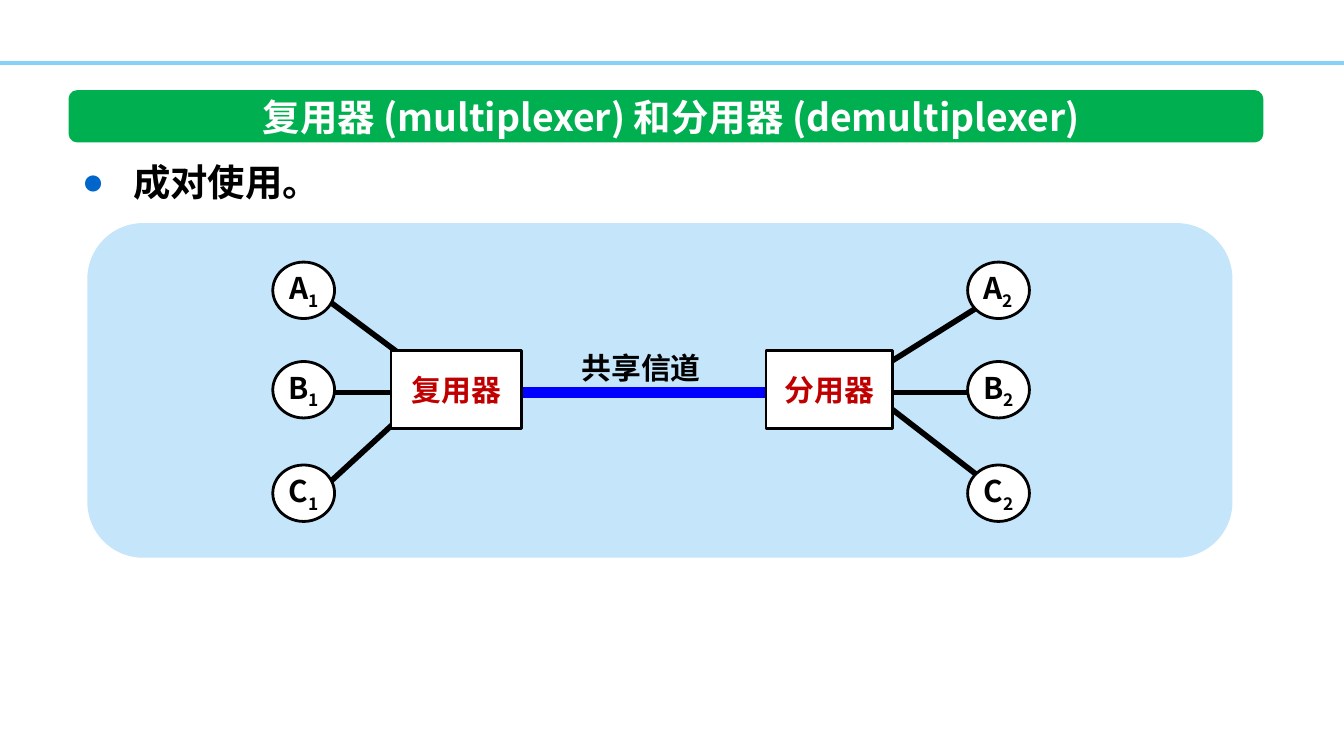
"""Build a slide that shows a multiplexer and a demultiplexer sharing one channel."""
from dataclasses import dataclass

from lxml import etree
from pptx import Presentation
from pptx.dml.color import RGBColor
from pptx.enum.shapes import MSO_CONNECTOR, MSO_SHAPE
from pptx.enum.text import MSO_ANCHOR, MSO_AUTO_SIZE, PP_ALIGN
from pptx.oxml.ns import qn
from pptx.shapes.autoshape import Shape
from pptx.slide import Slide
from pptx.text.text import TextFrame
from pptx.util import Inches, Pt

STRAIGHT = MSO_CONNECTOR.STRAIGHT
RECTANGLE, ROUNDED, OVAL = MSO_SHAPE.RECTANGLE, MSO_SHAPE.ROUNDED_RECTANGLE, MSO_SHAPE.OVAL
TOP, MIDDLE = MSO_ANCHOR.TOP, MSO_ANCHOR.MIDDLE
LEFT, CENTER = PP_ALIGN.LEFT, PP_ALIGN.CENTER
NO_AUTOFIT, GROW = MSO_AUTO_SIZE.NONE, MSO_AUTO_SIZE.SHAPE_TO_FIT_TEXT


@dataclass(frozen=True)
class Theme:
    """Colours, font and sizes of the slide."""
    font: str = "Noto Sans CJK SC"
    bullet_font: str = "Arial"
    heading_size: int = 20
    label_size: int = 16
    rule: str = "85D1F7"
    banner: str = "00B050"
    panel: str = "C5E5FB"
    bullet: str = "0066CC"
    channel: str = "0000FF"
    device: str = "C00000"
    black: str = "000000"
    white: str = "FFFFFF"


@dataclass(frozen=True)
class Box:
    """Place and size in inches."""
    left: float
    top: float
    width: float
    height: float

    def lengths(self) -> tuple[Inches, ...]:
        """Return the four values as lengths."""
        return tuple(Inches(value) for value in (self.left, self.top, self.width, self.height))


@dataclass(frozen=True)
class Line:
    """Straight line between two points in inches."""
    start: tuple[float, float]
    end: tuple[float, float]
    color: str
    width: float


@dataclass(frozen=True)
class Device:
    """Multiplexing device with its label."""
    name: str
    box: Box


@dataclass(frozen=True)
class Station:
    """Terminal row with its letter and top edge."""
    letter: str
    top: float


THEME = Theme()
SLIDE_WIDTH = 10
SLIDE_HEIGHT = SLIDE_WIDTH * 9 / 16
BANNER = Box(0.51, 0.67, 8.89, 0.39)
TITLE = Box(1.37, 0.67, 7.25, 0.39)
BODY = Box(0.51, 1.05, 8.89, 3.69)
PANEL = Box(0.65, 1.66, 8.52, 2.49)
CHANNEL_LABEL = Box(4.23, 2.55, 1.1, 0.37)
RULE = Line((0, 0.47), (SLIDE_WIDTH, 0.47), THEME.rule, 2)
LINKS = (
    Line((2.42, 2.92), (7.52, 2.92), THEME.black, 3),
    Line((3.63, 2.92), (6.09, 2.92), THEME.channel, 6),
    Line((6.63, 3.04), (7.38, 3.62), THEME.black, 3),
    Line((7.38, 2.22), (6.63, 2.69), THEME.black, 3),
    Line((2.42, 3.62), (3.05, 3.04), THEME.black, 3),
    Line((2.42, 2.22), (3.05, 2.69), THEME.black, 3),
)
STATIONS = (Station("A", 1.95), Station("B", 2.69), Station("C", 3.46))
STATION_LEFTS = {"1": 2.03, "2": 7.2}
DEVICES = (
    Device("复用器", Box(2.91, 2.61, 0.97, 0.58)),
    Device("分用器", Box(5.7, 2.61, 0.94, 0.58)),
)


def write_text(frame: TextFrame, text: str, *, subscript: str = "", size: int = THEME.label_size,
               color: str = THEME.black, align: PP_ALIGN = CENTER, anchor: MSO_ANCHOR = MIDDLE,
               wrap: bool = False, auto_size: MSO_AUTO_SIZE = NO_AUTOFIT) -> None:
    """Write one bold paragraph with an optional subscript."""
    frame.word_wrap = wrap
    frame.auto_size = auto_size
    frame.vertical_anchor = anchor
    paragraph = frame.paragraphs[0]
    paragraph.alignment = align
    paragraph.space_before = Pt(0)
    for content, baseline in ((text, 0), (subscript, -25000)):
        if not content:
            continue
        run = paragraph.add_run()
        run.text = content
        run.font.size = Pt(size)
        run.font.bold = True
        run.font.color.rgb = RGBColor.from_string(color)
        run.font.name = THEME.font
        properties = run._r.get_or_add_rPr()
        etree.SubElement(properties, qn("a:ea"), typeface=THEME.font)
        if baseline:
            properties.set("baseline", str(baseline))


def add_bullet(frame: TextFrame) -> None:
    """Give the first paragraph a coloured round bullet and a hanging indent."""
    properties = frame.paragraphs[0]._p.get_or_add_pPr()
    properties.set("marL", str(Inches(0.38)))
    properties.set("indent", str(Inches(-0.38)))
    color = etree.SubElement(properties, qn("a:buClr"))
    etree.SubElement(color, qn("a:srgbClr"), val=THEME.bullet)
    etree.SubElement(properties, qn("a:buFont"), typeface=THEME.bullet_font)
    etree.SubElement(properties, qn("a:buChar"), char="●")


def add_filled_shape(slide: Slide, kind: MSO_SHAPE, box: Box, fill: str, outline: str = "") -> Shape:
    """Add a flat shape with an optional outline."""
    shape = slide.shapes.add_shape(kind, *box.lengths())
    shape.shadow.inherit = False
    shape.fill.solid()
    shape.fill.fore_color.rgb = RGBColor.from_string(fill)
    if outline:
        shape.line.color.rgb = RGBColor.from_string(outline)
        shape.line.width = Pt(1.5)
    else:
        shape.line.fill.background()
    return shape


def add_line(slide: Slide, line: Line) -> None:
    """Add a straight line without a shadow."""
    points = (Inches(value) for value in (*line.start, *line.end))
    connector = slide.shapes.add_connector(STRAIGHT, *points)
    connector.line.color.rgb = RGBColor.from_string(line.color)
    connector.line.width = Pt(line.width)
    etree.SubElement(connector.element.spPr, qn("a:effectLst"))


def place(shape: Shape, box: Box) -> None:
    """Move a placeholder to a box and bring it to the front."""
    shape.left, shape.top, shape.width, shape.height = box.lengths()
    shape.element.getparent().append(shape.element)


def add_headings(slide: Slide) -> None:
    """Draw the banner and panel, with the title and list above them."""
    add_line(slide, RULE)
    add_filled_shape(slide, ROUNDED, BANNER, THEME.banner)
    add_filled_shape(slide, ROUNDED, PANEL, THEME.panel)
    title, body = slide.shapes.title, slide.placeholders[1]
    place(body, BODY)
    add_bullet(body.text_frame)
    write_text(body.text_frame, "成对使用。", size=THEME.heading_size, align=LEFT, anchor=TOP, wrap=True)
    body.text_frame.paragraphs[0].line_spacing = Pt(30)
    place(title, TITLE)
    write_text(title.text_frame, "复用器 (multiplexer) 和分用器 (demultiplexer)",
               size=THEME.heading_size, color=THEME.white, wrap=True)


def add_diagram(slide: Slide) -> None:
    """Draw the links, stations and devices."""
    for link in LINKS:
        add_line(slide, link)
    label = slide.shapes.add_textbox(*CHANNEL_LABEL.lengths())
    write_text(label.text_frame, "共享信道", align=LEFT, anchor=TOP, auto_size=GROW)
    for station in STATIONS:
        for number, left in STATION_LEFTS.items():
            box = Box(left, station.top, 0.46, 0.42)
            circle = add_filled_shape(slide, OVAL, box, THEME.white, THEME.black)
            write_text(circle.text_frame, station.letter, subscript=number)
    for device in DEVICES:
        rectangle = add_filled_shape(slide, RECTANGLE, device.box, THEME.white, THEME.black)
        write_text(rectangle.text_frame, device.name, color=THEME.device)


def main() -> None:
    """Create and save the presentation."""
    presentation = Presentation()
    presentation.slide_width, presentation.slide_height = Inches(SLIDE_WIDTH), Inches(SLIDE_HEIGHT)
    slide = presentation.slides.add_slide(presentation.slide_layouts[1])
    add_headings(slide)
    add_diagram(slide)
    presentation.save("out.pptx")


if __name__ == "__main__":
    main()
